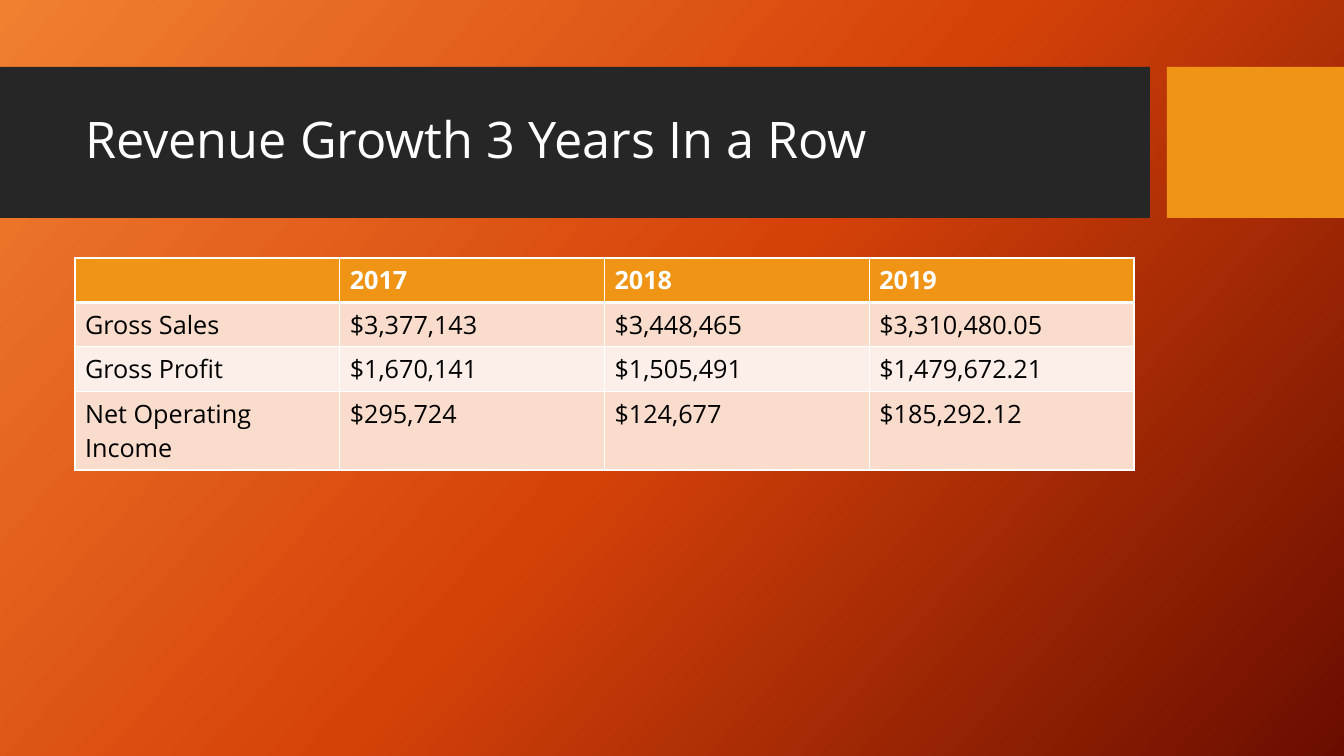
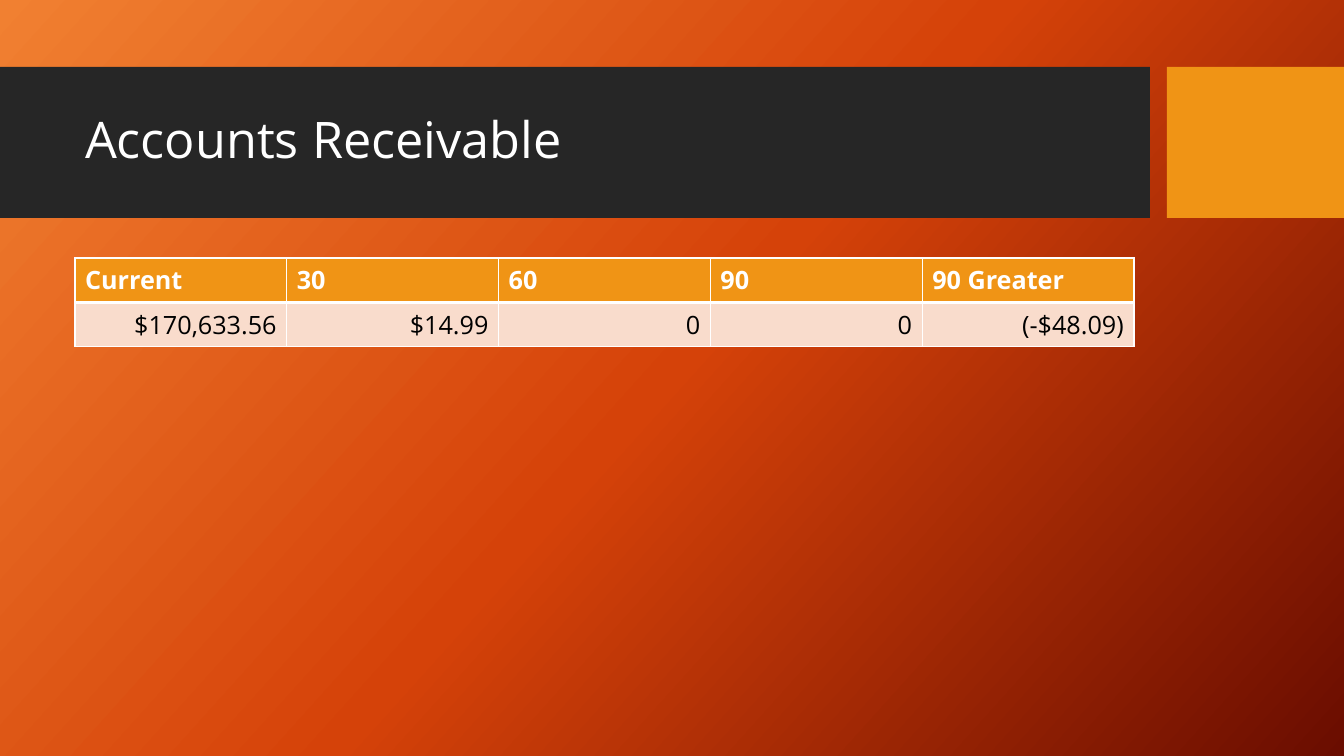
from copy import deepcopy

from lxml.etree import SubElement
from pptx import Presentation
from pptx.dml.color import RGBColor
from pptx.enum.shapes import MSO_SHAPE
from pptx.enum.text import MSO_ANCHOR, PP_ALIGN
from pptx.oxml.ns import qn
from pptx.util import Pt

EMU_PER_PIXEL = 914400 / 100.8
FONT = "Open Sans"
COLORS = {
    "band": "262626", "accent": "F09415", "white": "FFFFFF", "black": "000000",
    "row_odd": "F9DCCC", "row_even": "FCEEE8",
    "glow": "F18031", "flame": "D54209", "ember": "6A0D00",
}
BACKGROUND_STOPS = [(0, "glow"), (0.5, "flame"), (1, "ember")]
BACKGROUND_ANGLE = 42
TITLE_BAND = (0, 67, 1150, 151)
ACCENT_BLOCK = (1167, 67, 177, 151)
TITLE_BOX = (75, 83, 1059, 119)
TABLE_BOX = (75, 258, 1059)
ROW_HEIGHT = 41

REVENUE = [
    ["", "2017", "2018", "2019"],
    ["Gross Sales", "$3,377,143", "$3,448,465", "$3,310,480.05"],
    ["Gross Profit", "$1,670,141", "$1,505,491", "$1,479,672.21"],
    ["Net Operating Income", "$295,724", "$124,677", "$185,292.12"],
]
RECEIVABLES = [
    ["Current", "30", "60", "90", "90 Greater"],
    ["$170,633.56", "$14.99", "0", "0", "(-$48.09)"],
]


def px(pixels):
    """Turn pixels into EMU."""
    return round(pixels * EMU_PER_PIXEL)


def rgb(name):
    """Look up a named colour."""
    return RGBColor.from_string(COLORS[name])


def style_text(paragraph, size, color, bold=False):
    """Format every run of a paragraph."""
    for run in paragraph.runs:
        run.font.name = FONT
        run.font.size = Pt(size)
        run.font.bold = bold
        run.font.color.rgb = rgb(color)


def paint_background(slide):
    """Fill the slide with the diagonal three-colour gradient."""
    fill = slide.background.fill
    fill.gradient()
    fill.gradient_angle = 360 - BACKGROUND_ANGLE
    stop_list = next(slide.element.iter(qn("a:gsLst")))
    stop_list.insert(1, deepcopy(stop_list[0]))
    for stop, (position, color) in zip(fill.gradient_stops, BACKGROUND_STOPS):
        stop.position = position
        stop.color.rgb = rgb(color)


def add_block(slide, box, color):
    """Draw a plain rectangle behind the title."""
    block = slide.shapes.add_shape(MSO_SHAPE.RECTANGLE, *map(px, box))
    block.shadow.inherit = False
    block.fill.solid()
    block.fill.fore_color.rgb = rgb(color)
    block.line.fill.background()
    slide.shapes.title.element.addprevious(block.element)


def set_title(slide, text, box):
    """Place and format the title placeholder."""
    title = slide.shapes.title
    title.left, title.top, title.width, title.height = map(px, box)
    frame = title.text_frame
    frame.text = text
    frame.word_wrap = True
    frame.vertical_anchor = MSO_ANCHOR.MIDDLE
    heading = frame.paragraphs[0]
    heading.alignment = PP_ALIGN.LEFT
    heading.line_spacing = 0.9
    style_text(heading, 36, "white")


def set_borders(cell, top=1, bottom=1):
    """Give a cell white borders, with widths in points."""
    properties = cell._tc.get_or_add_tcPr()
    for side, width in (("L", 1), ("R", 1), ("T", top), ("B", bottom)):
        line = SubElement(properties, qn(f"a:ln{side}"), w=str(Pt(width)))
        fill = SubElement(line, qn("a:solidFill"))
        SubElement(fill, qn("a:srgbClr"), val=COLORS["white"])


def add_data_table(slide, rows, box, body_alignment):
    """Add a table with a header row, banded rows and equal columns."""
    left, top, width = box
    table = slide.shapes.add_table(
        len(rows), len(rows[0]), px(left), px(top), px(width), px(ROW_HEIGHT * len(rows))
    ).table
    for column in table.columns:
        column.width = px(width / len(rows[0]))
    for index, values in enumerate(rows):
        table.rows[index].height = px(ROW_HEIGHT)
        header = index == 0
        color = "accent" if header else "row_odd" if index % 2 else "row_even"
        for cell, value in zip(table.rows[index].cells, values):
            set_borders(cell, top=3 if index == 1 else 1, bottom=3 if header else 1)
            cell.fill.solid()
            cell.fill.fore_color.rgb = rgb(color)
            cell.text_frame.text = value
            paragraph = cell.text_frame.paragraphs[0]
            paragraph.alignment = PP_ALIGN.LEFT if header else body_alignment
            style_text(paragraph, 18, "white" if header else "black", bold=header)


def add_table_slide(deck, title, rows, body_alignment):
    """Build one slide: background, title band, accent block and table."""
    slide = deck.slides.add_slide(deck.slide_layouts.get_by_name("Title Only"))
    paint_background(slide)
    add_block(slide, TITLE_BAND, "band")
    add_block(slide, ACCENT_BLOCK, "accent")
    set_title(slide, title, TITLE_BOX)
    add_data_table(slide, rows, TABLE_BOX, body_alignment)


deck = Presentation()
deck.slide_width, deck.slide_height = px(1344), px(756)
add_table_slide(deck, "Revenue Growth 3 Years In a Row", REVENUE, PP_ALIGN.LEFT)
add_table_slide(deck, "Accounts Receivable", RECEIVABLES, PP_ALIGN.RIGHT)
deck.save("out.pptx")
